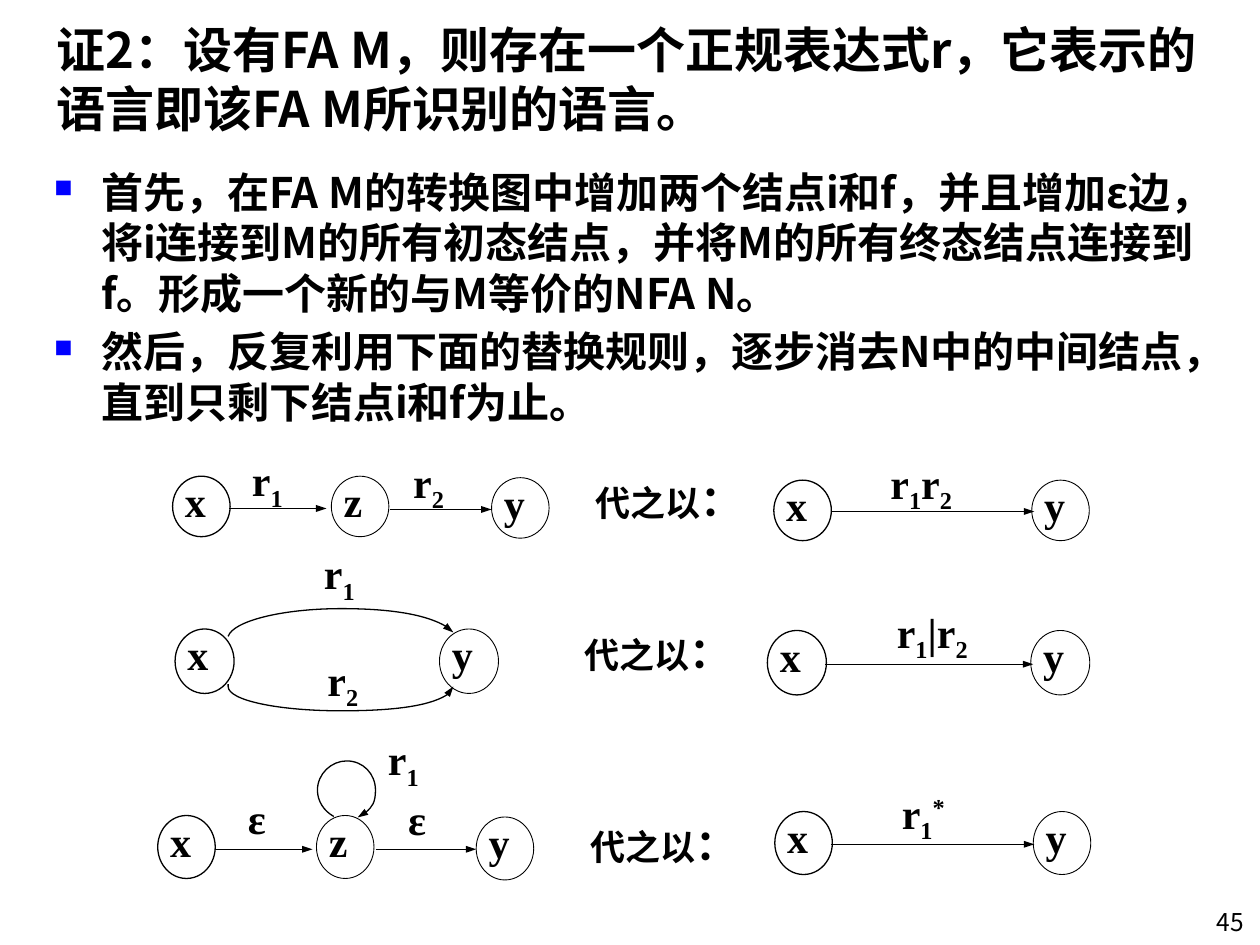
"""Builds the slide on turning a finite automaton into a regular expression."""
import lxml.etree
import pptx
import pptx.dml.color
import pptx.enum.shapes
import pptx.enum.text
import pptx.oxml.ns
import pptx.util
from pptx.util import Cm

BLACK = pptx.dml.color.RGBColor(0x00, 0x00, 0x00)
BLUE = pptx.dml.color.RGBColor(0x00, 0x00, 0xFF)
SANS = "Noto Sans CJK SC"
SERIF = "Times New Roman"
ALIGN = pptx.enum.text.PP_ALIGN
SUB, SUPER = -25000, 30000


def add_element(parent, tag, **attributes):
    return lxml.etree.SubElement(parent, pptx.oxml.ns.qn(tag), attributes)


class SlideBuilder:
    """Holds the style and the current slide."""

    def __init__(self, deck):
        self.slide = deck.slides.add_slide(deck.slide_layouts[5])
        self.shapes = self.slide.shapes

    def span(self, para, text, size=24, font=SERIF, bold=True, baseline=0):
        span = para.add_run()
        span.text = text
        span.font.size = pptx.util.Pt(size)
        span.font.name = font
        span.font.bold = bold
        span.font.color.rgb = BLACK
        if font == SANS:
            add_element(span.font._element, "a:ea", typeface=font)
        if baseline:
            span.font._element.set("baseline", str(baseline))

    def title(self, left, top, width, height, text):
        box = self.shapes.title
        box.left, box.top, box.width, box.height = map(Cm, (left, top, width, height))
        frame = box.text_frame
        frame.auto_size = pptx.enum.text.MSO_AUTO_SIZE.NONE
        frame.vertical_anchor = pptx.enum.text.MSO_ANCHOR.MIDDLE
        para = frame.paragraphs[0]
        para.alignment = ALIGN.LEFT
        self.span(para, text, 28, SANS)

    def text_box(self, left, top, width, height):
        box = self.shapes.add_textbox(*map(Cm, (left, top, width, height)))
        box.text_frame.word_wrap = True
        return box.text_frame

    def bullets(self, left, top, width, height, items):
        frame = self.text_box(left, top, width, height)
        for index, text in enumerate(items):
            para = frame.add_paragraph() if index else frame.paragraphs[0]
            if index:
                para.space_before = pptx.util.Pt(4.8)
            properties = para._p.get_or_add_pPr()
            properties.set("marL", str(Cm(0.95)))
            properties.set("indent", str(-Cm(0.95)))
            colour = add_element(properties, "a:buClr")
            add_element(colour, "a:srgbClr", val=str(BLUE))
            add_element(properties, "a:buSzPct", val="60000")
            add_element(properties, "a:buChar", char="■")
            self.span(para, text, 24, SANS)

    def label(self, left, top, *parts, width=2.4, height=1.45):
        para = self.text_box(left, top, width, height).paragraphs[0]
        for text, baseline in parts:
            self.span(para, text, baseline=baseline)

    def replaced_by(self, left, top):
        para = self.text_box(left, top, 3.8, 1.47).paragraphs[0]
        self.span(para, "代之以", 20)
        self.span(para, "：")

    def page_number(self, left, top, width, height, text):
        para = self.text_box(left, top, width, height).paragraphs[0]
        para.alignment = ALIGN.RIGHT
        self.span(para, text, 14, SANS, bold=False)

    def node(self, name, left, top, width, height):
        circle = self.shapes.add_shape(
            pptx.enum.shapes.MSO_SHAPE.OVAL, *map(Cm, (left, top, width, height)))
        circle.shadow.inherit = False
        circle.fill.background()
        circle.line.color.rgb = BLACK
        circle.line.width = pptx.util.Pt(0.75 if name == "x" else 0.5)
        self.label(left, top - 0.13, (name, 0), width=width + 0.24, height=height + 0.32)

    def arrow_line(self, shape):
        shape.line.color.rgb = BLACK
        shape.line.width = pptx.util.Pt(0.75)
        add_element(shape.line._get_or_add_ln(), "a:tailEnd", type="triangle", w="sm", len="med")

    def arrow(self, start, end, height):
        arrow = self.shapes.add_connector(
            pptx.enum.shapes.MSO_CONNECTOR.STRAIGHT, Cm(start), Cm(height), Cm(end), Cm(height))
        self.arrow_line(arrow)
        add_element(arrow._element.spPr, "a:effectLst")

    def curve(self, start, *points):
        builder = self.shapes.build_freeform(*map(Cm, start))
        builder.add_line_segments([(Cm(x), Cm(y)) for x, y in points], close=False)
        curve = builder.convert_to_shape()
        lines = list(curve._element.iter(pptx.oxml.ns.qn("a:lnTo")))
        outline = lines[0].getparent()
        for index in range(0, len(lines), 3):
            bend = add_element(outline, "a:cubicBezTo")
            for line in lines[index:index + 3]:
                bend.append(line[0])
                outline.remove(line)
        curve.shadow.inherit = False
        curve.fill.background()
        self.arrow_line(curve)


def main():
    deck = pptx.Presentation()
    deck.slide_width, deck.slide_height = Cm(25.4), Cm(19.05)
    page = SlideBuilder(deck)
    page.title(0.89, 0.43, 23.93, 2.31,
               "证2：设有FA M，则存在一个正规表达式r，它表示的语言即该FA M所识别的语言。")
    page.bullets(0.84, 3.23, 23.57, 5.51, [
        "首先，在FA M的转换图中增加两个结点i和f，并且增加ε边，将i连接到M的所有初态结点，"
        "并将M的所有终态结点连接到f。形成一个新的与M等价的NFA N。",
        "然后，反复利用下面的替换规则，逐步消去N中的中间结点，直到只剩下结点i和f为止。"])

    rows = [
        ((1.16, 1.22), [("x", 3.48, 9.6), ("z", 6.68, 9.6), ("y", 9.91, 9.63),
                        ("x", 15.6, 9.68), ("y", 20.8, 9.68)]),
        ((1.19, 1.3), [("x", 3.53, 12.68), ("y", 8.86, 12.68),
                       ("x", 15.47, 12.71), ("y", 20.78, 12.71)]),
        ((1.16, 1.27), [("x", 3.18, 16.44), ("z", 6.38, 16.44), ("y", 9.6, 16.47),
                        ("x", 15.62, 16.36), ("y", 20.83, 16.36)]),
    ]
    for size, nodes in rows:
        for name, left, top in nodes:
            page.node(name, left, top, *size)

    for start, end, height in [
            (4.62, 6.58, 10.25), (7.87, 9.91, 10.27), (16.76, 20.85, 10.31),
            (16.64, 20.83, 13.39),
            (4.34, 6.3, 17.12), (7.57, 9.6, 17.12), (16.76, 20.85, 17.02)]:
        page.arrow(start, end, height)

    page.curve((4.6, 12.83),
               (4.7, 12.52), (5.69, 12.27), (6.88, 12.27),
               (7.98, 12.27), (8.92, 12.47), (9.14, 12.75))
    page.curve((4.6, 13.79),
               (4.6, 13.82), (4.6, 13.82), (4.6, 13.84),
               (4.6, 14.12), (5.61, 14.33), (6.88, 14.33),
               (8.13, 14.33), (9.14, 14.12), (9.14, 13.84))
    page.curve((6.73, 16.46),
               (6.53, 16.35), (6.4, 16.15), (6.4, 15.93),
               (6.4, 15.6), (6.68, 15.34), (6.99, 15.34),
               (7.32, 15.34), (7.57, 15.6), (7.57, 15.93),
               (7.57, 16.18), (7.44, 16.38), (7.21, 16.48))

    r1 = [("r", 0), ("1", SUB)]
    r2 = [("r", 0), ("2", SUB)]
    epsilon = [("ε", 0)]
    for left, top, parts in [
            (4.83, 9.04, r1), (8.08, 9.07, r2), (17.7, 9.09, r1 + r2),
            (6.28, 10.92, r1), (6.35, 13.06, r2),
            (17.83, 12.1, r1 + [("|r", 0), ("2", SUB)]),
            (7.57, 14.67, r1), (4.75, 15.85, epsilon), (7.98, 15.88, epsilon),
            (17.93, 15.75, r1 + [("*", SUPER)])]:
        page.label(left, top, *parts)

    for left, top in [(11.76, 9.45), (11.53, 12.5), (11.66, 16.37)]:
        page.replaced_by(left, top)
    page.page_number(23.32, 18.16, 2.01, 0.76, "45")
    deck.save("out.pptx")


if __name__ == "__main__":
    main()
